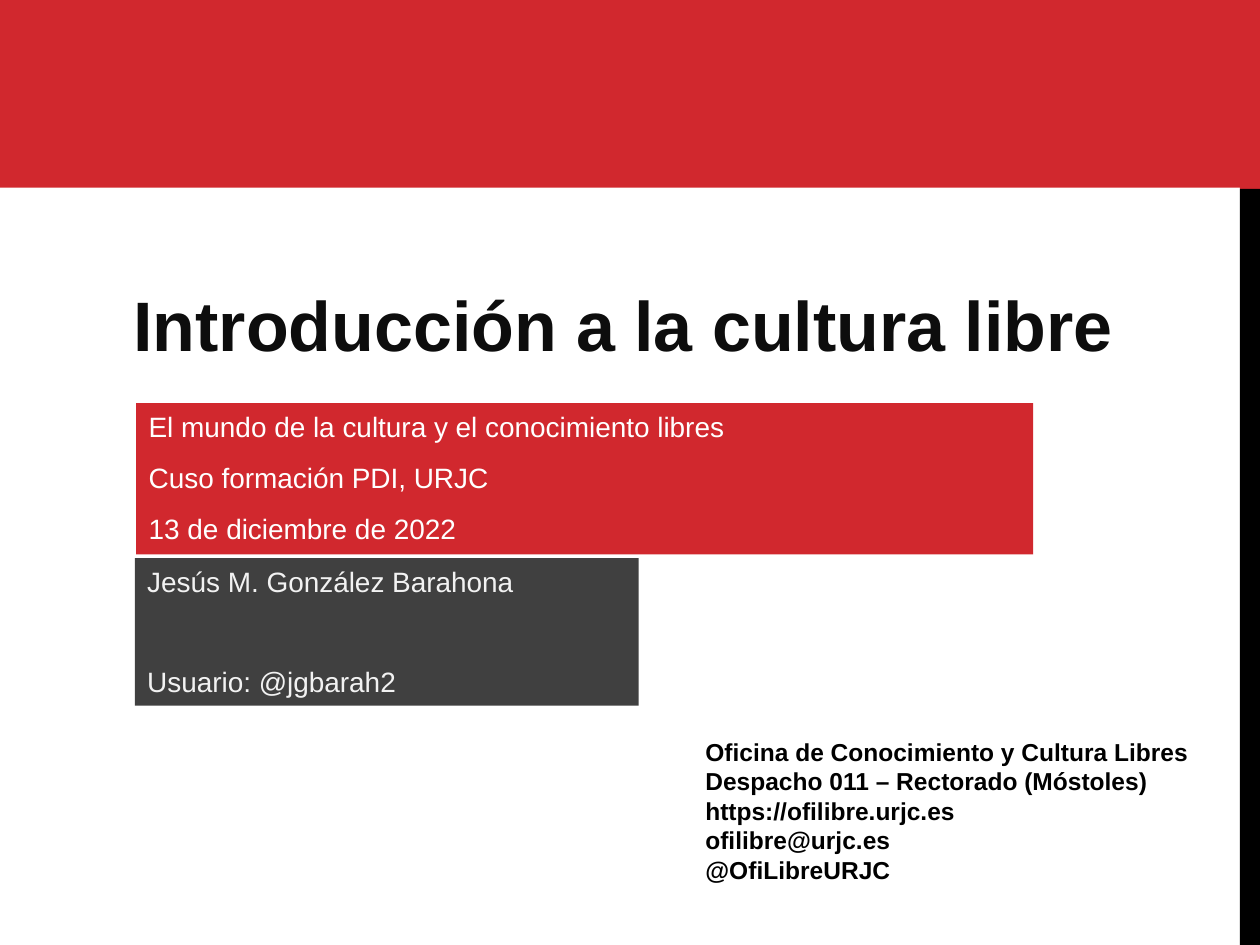
from pptx import Presentation
from pptx.dml.color import RGBColor
from pptx.enum import shapes, text
from pptx.util import Inches, Pt

RED = RGBColor(0xD1, 0x28, 0x2E)
BLACK = RGBColor(0, 0, 0)
INK = RGBColor(0x0D, 0x0D, 0x0D)
CHARCOAL = RGBColor(0x40, 0x40, 0x40)
PALE = RGBColor(0xF2, 0xF2, 0xF2)
WHITE = RGBColor(0xFF, 0xFF, 0xFF)


def write(shape, lines, size, color, bold=False, gap=0, line_spacing=1.0,
          anchor=text.MSO_ANCHOR.TOP):
    """Fill a shape with left-aligned lines; gap is the space between them in points."""
    frame = shape.text_frame
    frame.word_wrap = True
    frame.auto_size = text.MSO_AUTO_SIZE.NONE
    frame.vertical_anchor = anchor
    frame.text = "\n".join(lines)
    for number, paragraph in enumerate(frame.paragraphs):
        paragraph.alignment = text.PP_ALIGN.LEFT
        paragraph.line_spacing = line_spacing
        paragraph.space_before = Pt(gap if number else 0)
        paragraph.space_after = Pt(0)
        font = paragraph.font
        font.name, font.size, font.bold = "Arial", Pt(size), bold
        font.color.rgb = color


def add_block(left, top, width, height, color):
    block = slide.shapes.add_shape(
        shapes.MSO_SHAPE.RECTANGLE,
        Inches(left), Inches(top), Inches(width), Inches(height))
    block.shadow.inherit = False
    block.fill.solid()
    block.fill.fore_color.rgb = color
    block.line.fill.background()
    return block


prs = Presentation()
prs.slide_width, prs.slide_height = Inches(10), Inches(7.5)
slide = prs.slides.add_slide(prs.slide_layouts[0])

# Banner and right-hand edge
add_block(9.84, 0, 0.16, 1.5, RED)
add_block(9.84, 1.5, 0.16, 6, BLACK)
add_block(0, 0, 10, 1.49, RED)

# Title and subtitle
title = slide.shapes.title
title.left, title.top = Inches(0.96), Inches(1.6)
title.width, title.height = Inches(8.25), Inches(1.35)
write(title, ["Introducción a la cultura libre"], 40, INK, bold=True,
      line_spacing=0.8, anchor=text.MSO_ANCHOR.BOTTOM)

course = slide.placeholders[1]
course.left, course.top = Inches(1.08), Inches(3.2)
course.width, course.height = Inches(7.12), Inches(1.2)
course.fill.solid()
course.fill.fore_color.rgb = RED
write(course, ["El mundo de la cultura y el conocimiento libres",
               "Cuso formación PDI, URJC",
               "13 de diciembre de 2022"], 16, WHITE, gap=10)

# Author and contact details
author = add_block(1.07, 4.43, 4, 1.17, CHARCOAL)
write(author, ["Jesús M. González Barahona", "Usuario: @jgbarah2"],
      16, PALE, gap=38)

contact = slide.shapes.add_textbox(
    Inches(5.5), Inches(5.8), Inches(4.14), Inches(1.29))
write(contact, ["Oficina de Conocimiento y Cultura Libres",
                "Despacho 011 – Rectorado (Móstoles)",
                "https://ofilibre.urjc.es",
                "ofilibre@urjc.es",
                "@OfiLibreURJC"], 14, BLACK, bold=True)

prs.save("out.pptx")
